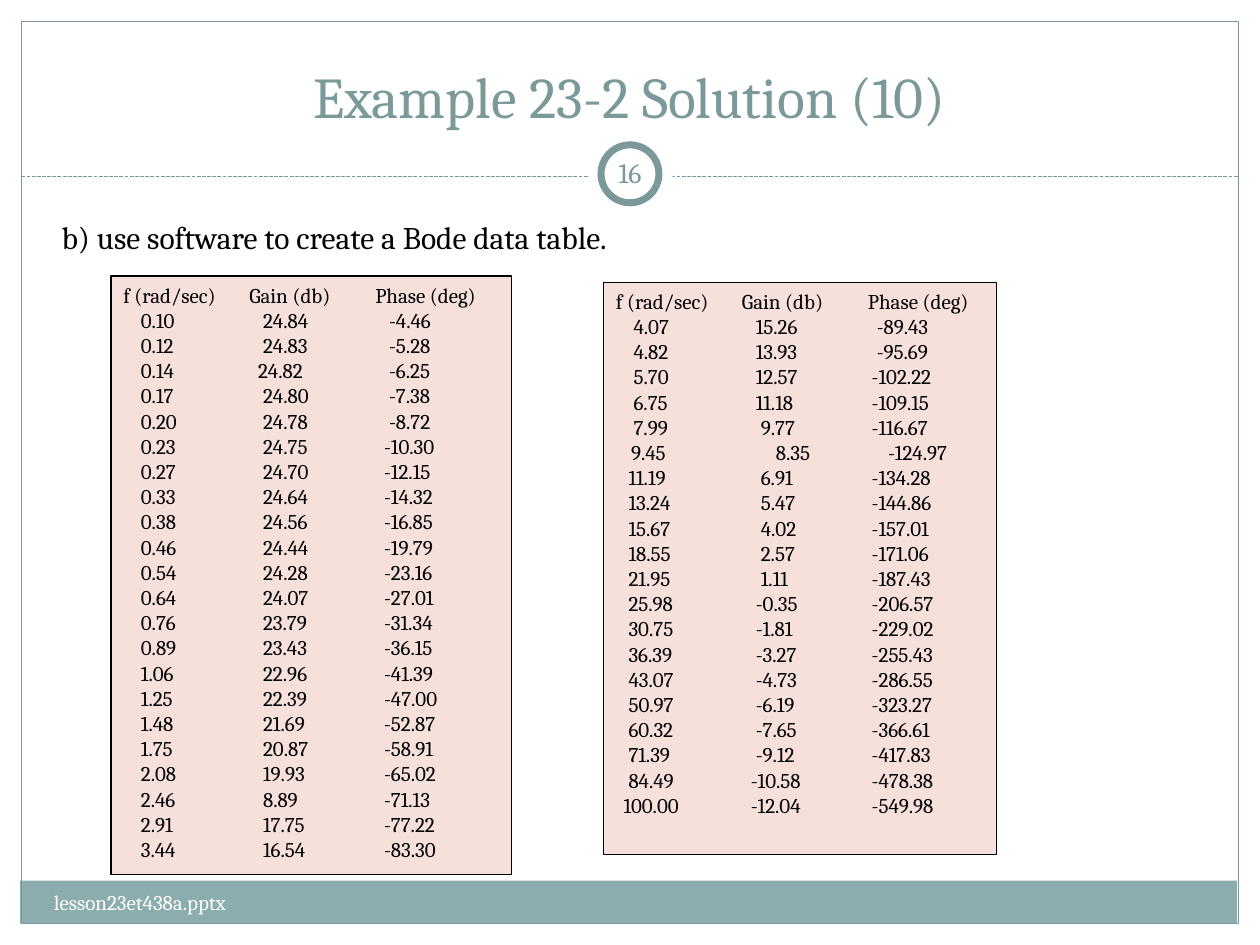
from pptx import Presentation
from pptx.dml.color import RGBColor
from pptx.enum import dml, shapes, text
from pptx.oxml.ns import qn
from pptx.util import Inches, Pt
from lxml import etree

# Content
TITLE = "Example 23-2 Solution (10)"
TASK = "b) use software to create a Bode data table."
FOOTER = "lesson23et438a.pptx"
PAGE = "16"
HEADS = ("f (rad/sec)", "Gain (db)", "Phase (deg)")
LOW = """0.10 24.84 -4.46
0.12 24.83 -5.28
0.14 24.82 -6.25
0.17 24.80 -7.38
0.20 24.78 -8.72
0.23 24.75 -10.30
0.27 24.70 -12.15
0.33 24.64 -14.32
0.38 24.56 -16.85
0.46 24.44 -19.79
0.54 24.28 -23.16
0.64 24.07 -27.01
0.76 23.79 -31.34
0.89 23.43 -36.15
1.06 22.96 -41.39
1.25 22.39 -47.00
1.48 21.69 -52.87
1.75 20.87 -58.91
2.08 19.93 -65.02
2.46 8.89 -71.13
2.91 17.75 -77.22
3.44 16.54 -83.30"""
HIGH = """4.07 15.26 -89.43
4.82 13.93 -95.69
5.70 12.57 -102.22
6.75 11.18 -109.15
7.99 9.77 -116.67
9.45 8.35 -124.97
11.19 6.91 -134.28
13.24 5.47 -144.86
15.67 4.02 -157.01
18.55 2.57 -171.06
21.95 1.11 -187.43
25.98 -0.35 -206.57
30.75 -1.81 -229.02
36.39 -3.27 -255.43
43.07 -4.73 -286.55
50.97 -6.19 -323.27
60.32 -7.65 -366.61
71.39 -9.12 -417.83
84.49 -10.58 -478.38
100.00 -12.04 -549.98"""
PANELS = [(LOW, (0.88, 2.19, 3.18, 4.75)), (HIGH, (4.79, 2.24, 3.12, 4.54))]

# Column starts, the length that sits there, and the shift per character
HEAD_TABS = (1, 2)
STARTS = ((0.14, 4), (1.11, 5), (2.11, 5))
STEP = 0.04
ODD_TABS = {"0.14": (0.14, 1.07, 2.11), "2.46": (0.14, 1.11, 2.07),
            "9.45": (0.12, 1.27, 2.16)}

THEME = dict(font="Cambria", teal="7C999A", band="8CADAE", pink="F6E0DB",
             white="FFFFFF", black="000000",
             title=33, task=18, page=16, small=12)


def color(name):
    return RGBColor.from_string(THEME[name])


def write(par, words, size, ink):
    run = par.add_run()
    run.text = words
    run.font.name = THEME["font"]
    run.font.size = Pt(THEME[size])
    run.font.color.rgb = color(ink)


def shape(kind, box, fill=None, line=None, width=0.75):
    item = slide.shapes.add_shape(kind, *map(Inches, box))
    item.shadow.inherit = False
    if fill:
        item.fill.solid()
        item.fill.fore_color.rgb = color(fill)
    else:
        item.fill.background()
    if line:
        item.line.color.rgb = color(line)
        item.line.width = Pt(width)
    else:
        item.line.fill.background()
    return item


def label(box, words, size, ink):
    frame = slide.shapes.add_textbox(*map(Inches, box)).text_frame
    frame.word_wrap = True
    write(frame.paragraphs[0], words, size, ink)
    return frame


def set_tabs(par, stops):
    tabs = etree.SubElement(par._p.get_or_add_pPr(), qn("a:tabLst"))
    for stop in stops:
        etree.SubElement(tabs, qn("a:tab"), pos=str(Inches(stop)), algn="l")


def panel(data, box):
    frame = shape(RECT, box, "pink", "black").text_frame
    frame.word_wrap = True
    frame.vertical_anchor = text.MSO_ANCHOR.TOP
    par = frame.paragraphs[0]
    par.alignment = text.PP_ALIGN.LEFT
    set_tabs(par, HEAD_TABS)
    write(par, "\t".join(HEADS), "small", "black")
    for row in data.splitlines():
        cells = row.split()
        stops = ODD_TABS.get(cells[0]) or [
            x + STEP * (size - len(cell))
            for (x, size), cell in zip(STARTS, cells)]
        par = frame.add_paragraph()
        par.alignment = text.PP_ALIGN.LEFT
        set_tabs(par, stops)
        write(par, "".join("\t" + cell for cell in cells), "small", "black")


RECT = shapes.MSO_SHAPE.RECTANGLE
OVAL = shapes.MSO_SHAPE.OVAL
deck = Presentation()
deck.slide_width, deck.slide_height = Inches(10), Inches(7.5)
slide = deck.slides.add_slide(deck.slide_layouts[5])

# Frame, footer band and divider
shape(RECT, (0.16, 6.99, 9.66, 0.34), "band")
shape(RECT, (0.17, 0.17, 9.66, 7.16), line="teal")
rule = slide.shapes.add_connector(
    shapes.MSO_CONNECTOR.STRAIGHT, *map(Inches, (0.17, 1.4, 9.83, 1.4)))
rule.line.color.rgb = color("teal")
rule.line.width = Pt(0.75)
rule.line.dash_style = dml.MSO_LINE.SQUARE_DOT
etree.SubElement(rule._element.spPr, qn("a:effectLst"))

# Page badge
shape(OVAL, (4.67, 1.05, 0.67, 0.67), "white")
shape(OVAL, (4.77, 1.15, 0.46, 0.46), "white", "teal", 4)
badge = label((4.75, 1.13, 0.5, 0.48), PAGE, "page", "teal")
badge.vertical_anchor = text.MSO_ANCHOR.MIDDLE
badge.margin_left = badge.margin_right = Inches(0.05)
badge.paragraphs[0].alignment = text.PP_ALIGN.CENTER

# Title
head = slide.shapes.title
head.left, head.top, head.width, head.height = map(
    Inches, (0.33, 0.25, 9.33, 0.83))
head.text_frame.vertical_anchor = text.MSO_ANCHOR.BOTTOM
head.text_frame.paragraphs[0].alignment = text.PP_ALIGN.CENTER
write(head.text_frame.paragraphs[0], TITLE, "title", "teal")

# Task, footer and data panels
label((0.33, 7.01, 3.92, 0.4), FOOTER, "small", "white")
label((0.39, 1.68, 9.26, 0.4), TASK, "task", "black")
for data, box in PANELS:
    panel(data, box)

deck.save("out.pptx")
